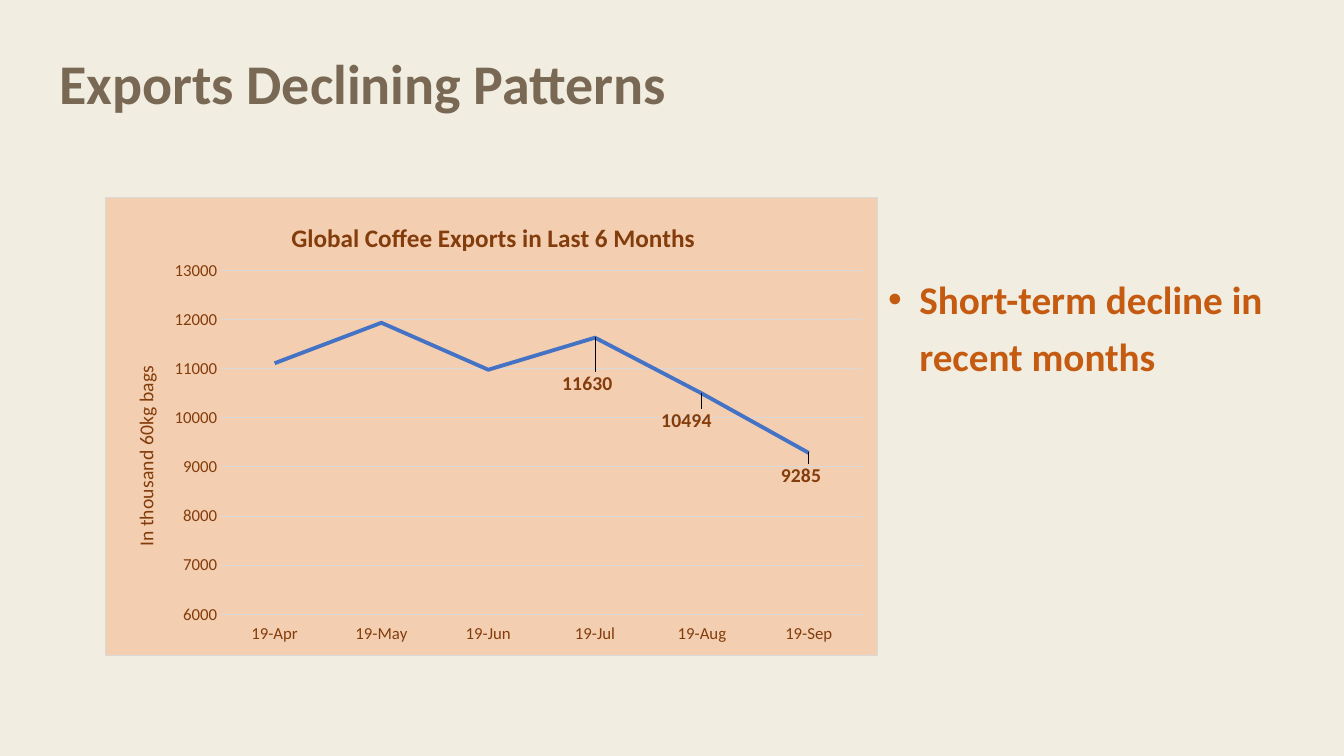
from dataclasses import dataclass
from typing import Any

import pptx
import pptx.chart.data
import pptx.dml.color
import pptx.enum.chart
import pptx.enum.text
import pptx.oxml
import pptx.oxml.ns
import pptx.util

Inches = pptx.util.Inches
Pt = pptx.util.Pt


@dataclass(frozen=True)
class Theme:
    """Colours and type sizes of the slide."""
    font: str = "Calibri"
    background: str = "F2EDE1"
    heading: str = "786854"
    takeaway: str = "C55A11"
    chart_text: str = "833C0B"
    chart_fill: str = "F4B183"
    grid: str = "D9D9D9"
    series: str = "4472C4"
    heading_size: int = 40
    takeaway_size: int = 28
    chart_title_size: int = 18
    label_size: int = 14
    tick_size: int = 12


@dataclass(frozen=True)
class Statement:
    """A line of text with its box, look and bullet setting."""
    text: str
    box: tuple[float, float, float, float]
    size: int
    color: str
    spacing: float = 1.0
    bulleted: bool = False


@dataclass(frozen=True)
class Month:
    """Exports of a month and the label offset, if it is labelled."""
    name: str
    exports: int
    offset: tuple[float, float] | None = None


THEME = Theme()
CHART_BOX = (1.04, 1.95, 7.67, 4.56)
STATEMENTS = (
    Statement("Short-term decline in recent months", (8.71, 2.59, 4.33, 1.7),
              THEME.takeaway_size, THEME.takeaway, 1.2, True),
    Statement("Exports Declining Patterns", (0.49, 0.43, 6.49, 0.77),
              THEME.heading_size, THEME.heading),
)
MONTHS = (
    Month("19-Apr", 11110),
    Month("19-May", 11934),
    Month("19-Jun", 10978),
    Month("19-Jul", 11630, (-0.01, 0.1)),
    Month("19-Aug", 10494, (-0.02, 0.06)),
    Month("19-Sep", 9285, (-0.01, 0.05)),
)


def apply_format(target: Any, values: dict[str, Any]) -> None:
    """Set each named attribute on the target."""
    for name, value in values.items():
        setattr(target, name, value)


def rgb(color: str) -> pptx.dml.color.RGBColor:
    """Turn a hex string into a colour."""
    return pptx.dml.color.RGBColor.from_string(color)


def style_font(font: Any, size: int, color: str, bold: bool = False) -> None:
    """Give a font the theme face with a size, colour and weight."""
    apply_format(font, {"name": THEME.font, "size": Pt(size), "bold": bold})
    font.color.rgb = rgb(color)


def style_line(line: Any, color: str, width: float) -> None:
    """Give a line its colour and width."""
    line.color.rgb = rgb(color)
    line.width = Pt(width)


def add_statement(slide: Any, statement: Statement) -> None:
    """Draw a text box holding one statement."""
    frame = slide.shapes.add_textbox(*map(Inches, statement.box)).text_frame
    frame.word_wrap = True
    paragraph = frame.paragraphs[0]
    paragraph.line_spacing = statement.spacing
    run = paragraph.add_run()
    run.text = statement.text
    style_font(run.font, statement.size, statement.color, True)
    if statement.bulleted:
        properties = paragraph._p.get_or_add_pPr()
        properties.set("marL", str(Inches(0.31)))
        properties.set("indent", str(Inches(-0.31)))
        for tag, attribute, value in (("buFont", "typeface", "Arial"), ("buChar", "char", "•")):
            properties.append(pptx.oxml.parse_xml(
                f'<a:{tag} {pptx.oxml.ns.nsdecls("a")} {attribute}="{value}"/>'))


def manual_layout(**settings: Any) -> Any:
    """Build a manual chart layout from its settings."""
    parts = "".join(f'<c:{tag} val="{value}"/>' for tag, value in settings.items())
    return pptx.oxml.parse_xml(
        f'<c:layout {pptx.oxml.ns.nsdecls("c")}><c:manualLayout>{parts}'
        '</c:manualLayout></c:layout>')


def add_title(holder: Any, text: str, size: int, bold: bool, x: float, y: float) -> None:
    """Title a chart or an axis at a fixed place."""
    frame = (holder.chart_title if hasattr(holder, "chart_title") else holder.axis_title).text_frame
    frame.text = text
    style_font(frame.paragraphs[0].runs[0].font, size, THEME.chart_text, bold)
    title = frame._txBody.getparent().getparent()
    for existing in title.xpath("c:layout"):
        title.remove(existing)
    title.xpath("c:tx")[0].addnext(manual_layout(xMode="edge", yMode="edge", x=x, y=y))


def style_axes(chart: Any) -> None:
    """Format both axes and the gridlines."""
    none = pptx.enum.chart.XL_TICK_MARK.NONE
    for axis in (chart.category_axis, chart.value_axis):
        apply_format(axis, {"major_tick_mark": none, "minor_tick_mark": none})
        style_font(axis.tick_labels.font, THEME.tick_size, THEME.chart_text)
    chart.category_axis.tick_label_position = pptx.enum.chart.XL_TICK_LABEL_POSITION.LOW
    style_line(chart.category_axis.format.line, THEME.grid, 1)
    apply_format(chart.value_axis, {"minimum_scale": 6000, "maximum_scale": 13000,
                                    "major_unit": 1000, "has_major_gridlines": True})
    style_line(chart.value_axis.major_gridlines.format.line, THEME.grid, 0.75)
    chart.value_axis.format.line.fill.background()


def style_series(series: Any) -> None:
    """Format the export line and label its last months."""
    series.smooth = False
    series.marker.style = pptx.enum.chart.XL_MARKER_STYLE.NONE
    style_line(series.format.line, THEME.series, 2.75)
    series.data_labels.show_value = False
    for index, month in enumerate(MONTHS):
        if month.offset:
            label = series.points[index].data_label
            label.position = pptx.enum.chart.XL_LABEL_POSITION.CENTER
            style_font(label.font, THEME.label_size, THEME.chart_text, True)
            x, y = month.offset
            marker = series._element.xpath(f"c:dLbls/c:dLbl/c:idx[@val='{index}']")[0]
            marker.addnext(manual_layout(x=x, y=y))


def add_exports_chart(slide: Any) -> None:
    """Draw the line chart of coffee exports."""
    exports = pptx.chart.data.CategoryChartData()
    exports.categories = [month.name for month in MONTHS]
    exports.add_series("Series 1", [month.exports for month in MONTHS])
    chart = slide.shapes.add_chart(
        pptx.enum.chart.XL_CHART_TYPE.LINE, *map(Inches, CHART_BOX), exports).chart
    apply_format(chart, {"has_legend": False, "has_title": True})
    style_font(chart.font, THEME.tick_size, THEME.chart_text)
    chart.plots[0].vary_by_categories = False
    style_axes(chart)
    style_series(chart.plots[0].series[0])
    add_title(chart, "Global Coffee Exports in Last 6 Months",
              THEME.chart_title_size, True, 0.235, 0.04)
    add_title(chart.value_axis, "In thousand 60kg bags", THEME.label_size, False, 0.03, 0.36)

    space = chart._chartSpace
    plot_area = space.xpath("c:chart/c:plotArea")[0]
    for existing in plot_area.xpath("c:layout"):
        plot_area.remove(existing)
    plot_area.insert(0, manual_layout(layoutTarget="inner", xMode="edge", yMode="edge",
                                      x=0.15, y=0.16, w=0.83, h=0.75))
    space.xpath("c:chart")[0].addnext(pptx.oxml.parse_xml(
        f'<c:spPr {pptx.oxml.ns.nsdecls("c", "a")}>'
        f'<a:solidFill><a:srgbClr val="{THEME.chart_fill}"><a:alpha val="50000"/>'
        '</a:srgbClr></a:solidFill>'
        f'<a:ln w="{Pt(0.75)}"><a:solidFill><a:srgbClr val="{THEME.grid}"/>'
        '</a:solidFill></a:ln></c:spPr>'))


def main() -> None:
    """Build and save the slide."""
    deck = pptx.Presentation()
    apply_format(deck, {"slide_width": Inches(13.33), "slide_height": Inches(7.5)})
    slide = deck.slides.add_slide(deck.slide_layouts[6])
    slide.background.fill.solid()
    slide.background.fill.fore_color.rgb = rgb(THEME.background)
    add_exports_chart(slide)
    for statement in STATEMENTS:
        add_statement(slide, statement)
    deck.save("out.pptx")


if __name__ == "__main__":
    main()
